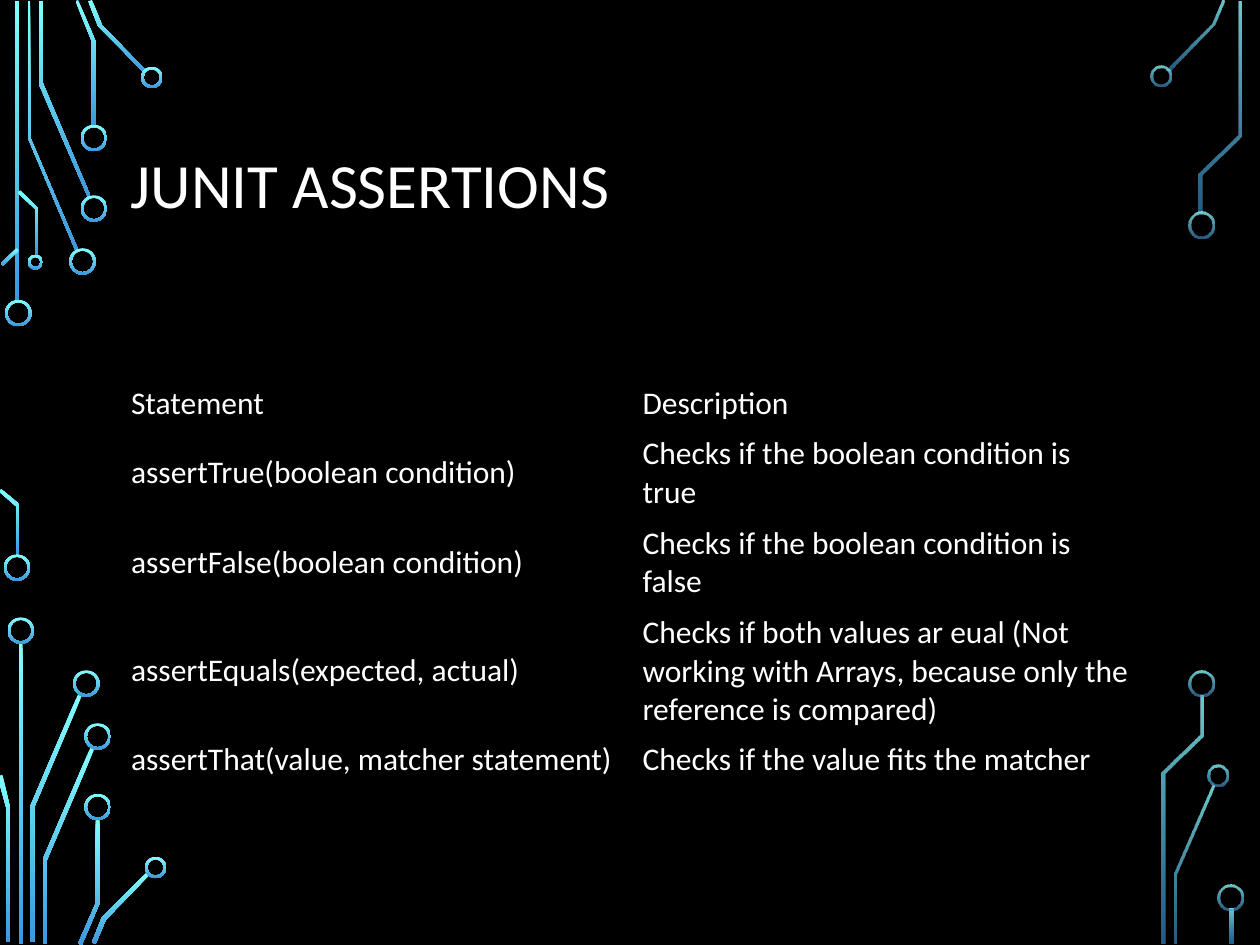
from pptx import Presentation
from pptx import util as u
from pptx.dml.color import RGBColor
from pptx.enum import shapes, text
from pptx.oxml import ns, xmlchemy
from lxml import etree

PX = u.Inches(1) // 100
CYAN = RGBColor(0x82, 0xFF, 0xFF)
BLUE = RGBColor(0x3D, 0x97, 0xDE)
WHITE = RGBColor(0xFF, 0xFF, 0xFF)
BLACK = RGBColor(0, 0, 0)
FONT = "Calibri"
NO_GRID_STYLE = "{2D5ABB26-0587-4C30-8999-92F81FD0307C}"
SOLID = (100, 100)
FADED = (80, 60)
RING_WALL = 2

LEFT_BARS = [(12, 1, 3, 239), (15, 510, 3, 239)]
LEFT_RINGS = [
    (4, 238, 21), (3, 440, 21), (55, 197, 21), (64, 155, 21), (64, 99, 21),
    (112, 53, 17), (22, 202, 12), (6, 490, 21), (58, 532, 21), (67, 574, 21),
    (67, 630, 21), (115, 680, 17),
]
LEFT_TRACES = [
    [(60, 199), (22, 109), (22, 1), (24, 1), (24, 109), (62, 198)],
    [(70, 157), (31, 67), (31, 1), (34, 1), (34, 66), (72, 156)],
    [(76, 100), (73, 100), (73, 33), (60, 1), (62, 0), (76, 33)],
    [(115, 58), (78, 21), (70, 1), (73, 0), (81, 20), (116, 56)],
    [(2, 211), (1, 209), (13, 197), (15, 199)],
    [(15, 441), (13, 441), (13, 402), (-1, 390), (1, 388), (15, 400)],
    [(30, 203), (28, 203), (28, 166), (14, 153), (16, 151), (30, 165)],
    [(27, 748), (24, 748), (24, 640), (62, 551), (65, 552), (27, 641)],
    [(8, 748), (5, 748), (5, 641), (-2, 616), (2, 615), (8, 641)],
    [(37, 749), (34, 749), (34, 682), (72, 593), (75, 594), (37, 683)],
    [(65, 750), (62, 749), (76, 717), (76, 650), (79, 650), (79, 717)],
    [(76, 749), (73, 748), (81, 728), (117, 692), (119, 694), (84, 730)],
]
RIGHT_BARS = [(976, 721, 3, 28)]
RIGHT_RINGS = [
    (913, 52, 17), (943, 168, 21), (958, 607, 17), (943, 532, 21), (966, 702, 21),
]
RIGHT_TRACES = [
    [(929, 56), (926, 55), (962, 19), (970, 0), (972, 1), (964, 20)],
    [(934, 749), (932, 749), (932, 693), (962, 623), (964, 624), (934, 694)],
    [(954, 169), (951, 169), (951, 138), (982, 107), (982, 1), (985, 1),
     (985, 108), (954, 139)],
    [(925, 749), (922, 749), (922, 613), (952, 583), (952, 552), (955, 552),
     (955, 584), (925, 614)],
]
ASSERTIONS = [
    ("Statement", "Description", 40),
    ("assertTrue(boolean condition)", "Checks if the boolean condition is true", 71),
    ("assertFalse(boolean condition)", "Checks if the boolean condition is false", 71),
    ("assertEquals(expected, actual)",
     "Checks if both values ar eual (Not working with Arrays, "
     "because only the reference is compared)", 101),
    ("assertThat(value, matcher statement)", "Checks if the value fits the matcher", 40),
]


def px(*lengths):
    return [length * PX for length in lengths]


def write(frame, words, size=18, color=WHITE, spacing=1.0):
    frame.word_wrap = True
    paragraph = frame.paragraphs[0]
    paragraph.line_spacing = spacing
    run = paragraph.add_run()
    run.text = words
    run.font.size = u.Pt(size)
    run.font.name = FONT
    run.font.color.rgb = color


def paint(part, opacity):
    part.shadow.inherit = False
    part.line.fill.background()
    part.fill.gradient()
    part.fill.gradient_angle = 270
    for stop, color in zip(part.fill.gradient_stops, (CYAN, BLUE)):
        stop.color.rgb = color
    if opacity != SOLID:
        for color, percent in zip(part.element.iter(ns.qn("a:srgbClr")), opacity):
            etree.SubElement(color, ns.qn("a:alpha"), val=str(percent * 1000))


def add_bar(slide, box, opacity):
    bar = slide.shapes.add_shape(shapes.MSO_SHAPE.RECTANGLE, *px(*box))
    paint(bar, opacity)


def add_ring(slide, left, top, size, opacity):
    ring = slide.shapes.add_shape(shapes.MSO_SHAPE.DONUT, *px(left, top, size, size))
    ring.adjustments[0] = RING_WALL / size
    paint(ring, opacity)


def add_trace(slide, outline, opacity):
    builder = slide.shapes.build_freeform(*outline[0], scale=PX)
    builder.add_line_segments(outline[1:], close=True)
    paint(builder.convert_to_shape(), opacity)


def add_circuit(slide, bars, traces, rings, opacity):
    for box in bars:
        add_bar(slide, box, opacity)
    for outline in traces:
        add_trace(slide, outline, opacity)
    for ring in rings:
        add_ring(slide, *ring, opacity)


def add_title(slide, words):
    title = slide.shapes.add_textbox(*px(94, 68, 812, 162))
    title.text_frame.vertical_anchor = text.MSO_ANCHOR.MIDDLE
    write(title.text_frame, words, size=36, spacing=0.9)


def add_assertions(slide):
    height = sum(row[2] for row in ASSERTIONS)
    table = slide.shapes.add_table(
        len(ASSERTIONS), 2, *px(94, 300, 812, height)).table
    table.first_row = False
    table.horz_banding = False
    style = next(table._tbl.iter(ns.qn("a:tableStyleId")))
    style.text = NO_GRID_STYLE
    for row, (statement, description, row_height) in zip(table.rows, ASSERTIONS):
        row.height = row_height * PX
        for cell, words in zip(row.cells, (statement, description)):
            cell.fill.background()
            cell.vertical_anchor = text.MSO_ANCHOR.MIDDLE
            write(cell.text_frame, words)


def main():
    deck = Presentation()
    deck.slide_width, deck.slide_height = px(1000, 750)
    slide = deck.slides.add_slide(deck.slide_layouts[6])
    slide.background.fill.solid()
    slide.background.fill.fore_color.rgb = BLACK
    add_circuit(slide, LEFT_BARS, LEFT_TRACES, LEFT_RINGS, SOLID)
    add_circuit(slide, RIGHT_BARS, RIGHT_TRACES, RIGHT_RINGS, FADED)
    add_title(slide, "JUNIT ASSERTIONS")
    add_assertions(slide)
    deck.save("out.pptx")


if __name__ == "__main__":
    main()
